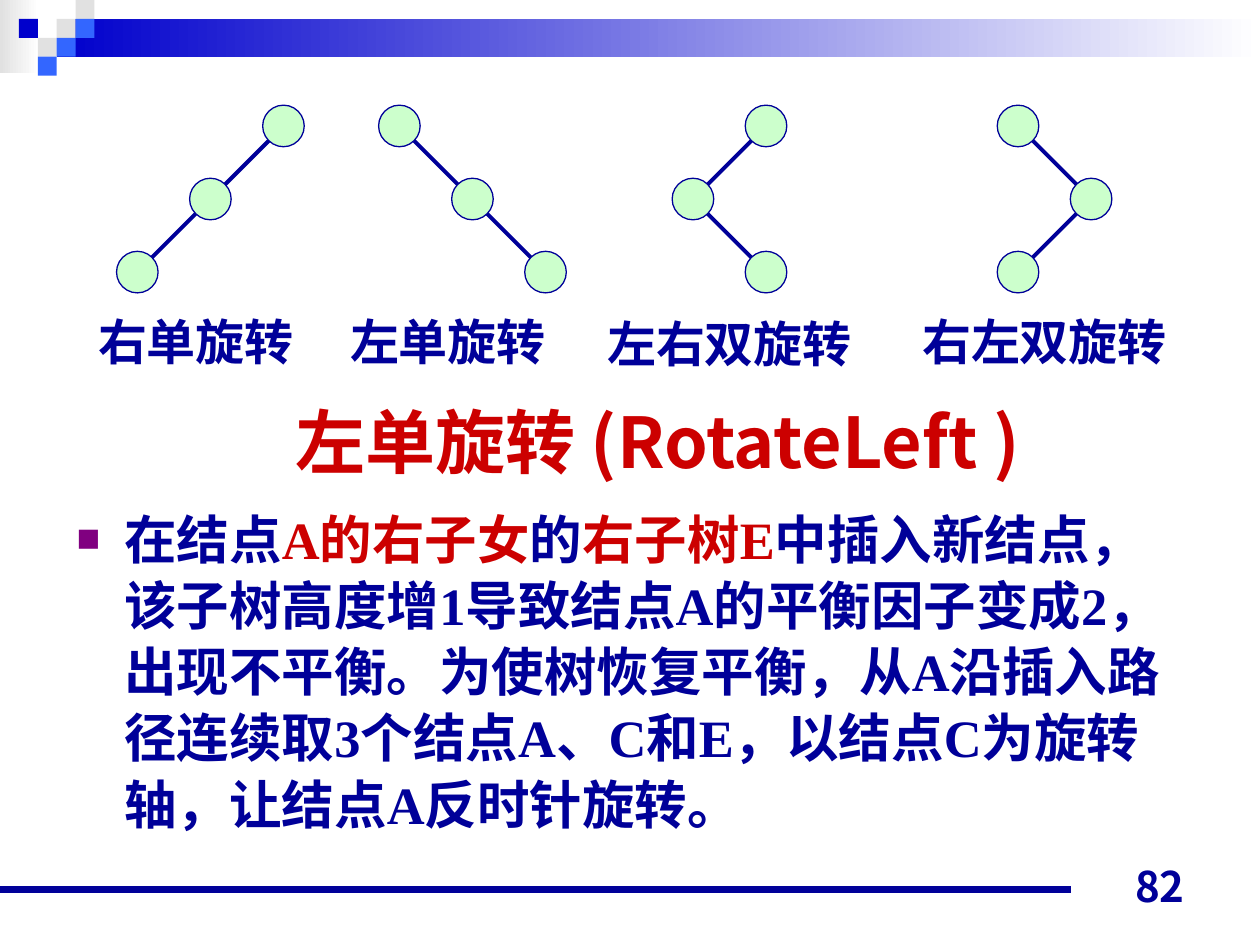
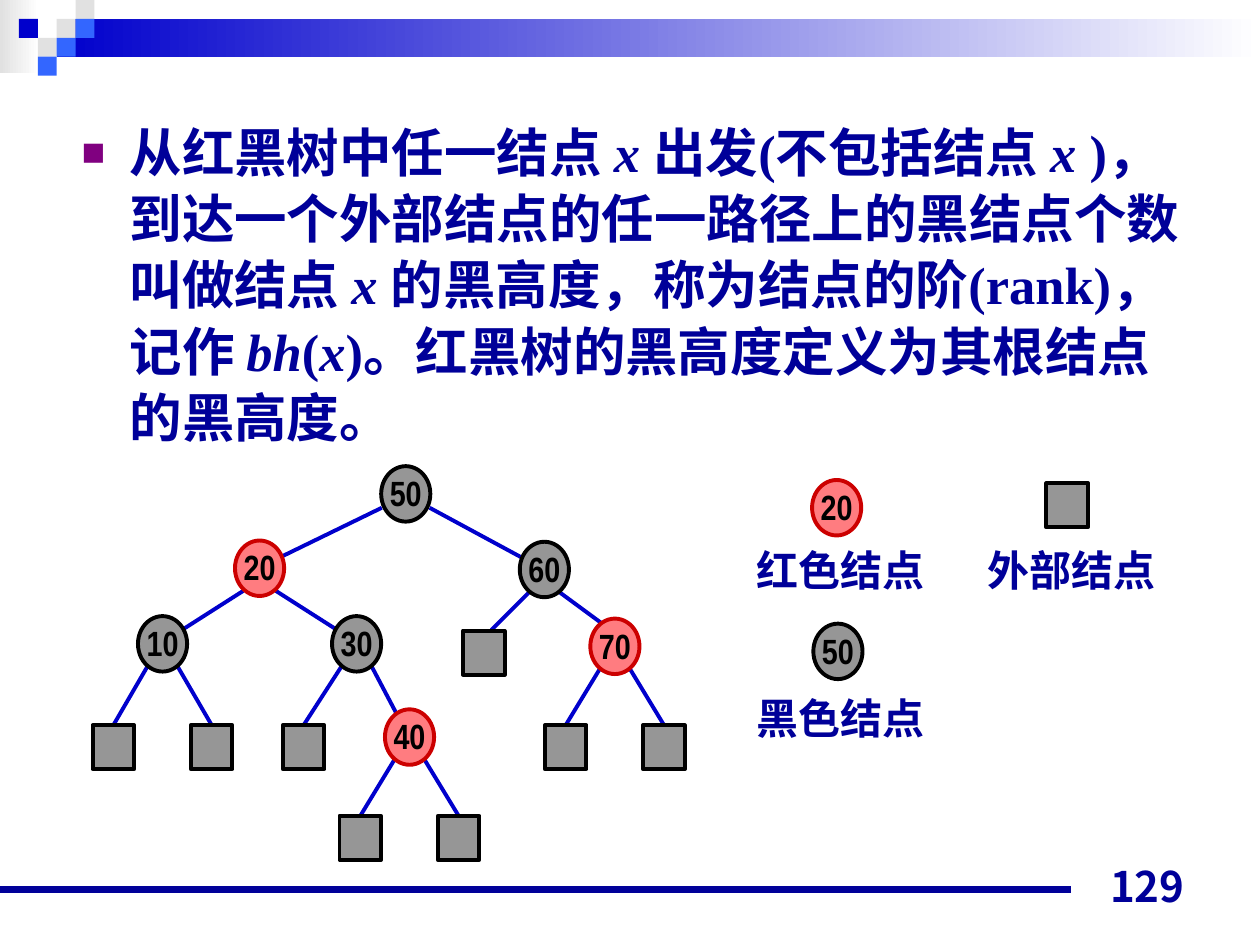
from dataclasses import dataclass

from lxml.etree import SubElement
from pptx import Presentation
from pptx.dml.color import RGBColor
from pptx.enum.shapes import MSO_CONNECTOR as Connector, MSO_SHAPE as Shape
from pptx.enum.text import MSO_ANCHOR as Anchor, PP_ALIGN as Align
from pptx.oxml.ns import qn
from pptx.util import Inches, Pt


@dataclass(frozen=True)
class Theme:
    navy: str = "000099"
    blue: str = "0000CC"
    sky: str = "3366FF"
    pale: str = "E1E1E1"
    white: str = "FFFFFF"
    red: str = "CC0000"
    pink: str = "FF7C80"
    grey: str = "969696"
    black: str = "000000"
    mint: str = "CCFFCC"
    purple: str = "800080"
    serif: str = "Times New Roman"
    narrow: str = "Arial Narrow"
    cjk: str = "Noto Sans CJK JP"
    title: int = 40
    body: int = 30
    caption: int = 28
    legend: int = 24
    number: int = 24
    key: int = 20


THEME = Theme()

# Checkerboard squares in the corner: column, row, colour
CHECKERS = [
    (3, 1, THEME.pale), (4, 0, THEME.pale), (4, 1, THEME.sky), (2, 2, THEME.pale),
    (1, 1, THEME.blue), (3, 2, THEME.sky), (2, 3, THEME.sky),
]

# Rotation cases: caption, caption left and top, root x, column of each node
ROTATIONS = [
    ("右单旋转", 0.68, 2.42, 2.25, (0, -1, -2)),
    ("左单旋转", 2.68, 2.42, 3.17, (0, 1, 2)),
    ("左右双旋转", 4.72, 2.44, 6.08, (0, -1, 0)),
    ("右左双旋转", 7.22, 2.42, 8.08, (0, 1, 0)),
]
ROTATION_TITLE = "左单旋转 (RotateLeft )"
ROTATION_TEXT = [
    ("在结点", {}),
    ("A的右子女", {"color": THEME.red}),
    ("的", {}),
    ("右子树E", {"color": THEME.red}),
    ("中插入新结点，该子树高度增1导致结点A的平衡因子变成2，出现不平衡。"
     "为使树恢复平衡，从A沿插入路径连续取3个结点A、C和E，"
     "以结点C为旋转轴，让结点A反时针旋转。", {}),
]

ITALIC = {"italic": True}
RANK_TEXT = [
    ("从红黑树中任一结点 ", {}),
    ("x ", ITALIC),
    ("出发(不包括结点 ", {}),
    ("x", ITALIC),
    (" )，到达一个外部结点的任一路径上的黑结点个数叫做结点 ", {}),
    ("x ", ITALIC),
    ("的黑高度，称为结点的阶(rank)，记作 ", {}),
    ("bh", ITALIC),
    ("(", {}),
    ("x", ITALIC),
    (")。红黑树的黑高度定义为其根结点的黑高度。", {}),
]

# Tree nodes: key -> (centre x, centre y, is red, left child, right child)
# A child is a key, or the offset of an external node from its parent.
LEFT_LEAF, RIGHT_LEAF = (-0.39, 0.8), (0.39, 0.8)
TREE = {
    50: (3.22, 3.92, False, 20, 60),
    20: (2.06, 4.51, True, 10, 30),
    60: (4.32, 4.52, False, (-0.48, 0.66), 70),
    10: (1.29, 5.11, False, (-0.39, 0.82), (0.39, 0.82)),
    30: (2.83, 5.11, False, (-0.42, 0.82), 40),
    70: (4.88, 5.13, True, LEFT_LEAF, RIGHT_LEAF),
    40: (3.25, 5.85, True, LEFT_LEAF, RIGHT_LEAF),
}

# Legend: caption, caption left and top, symbol centre, key (None is external), is red
LEGEND = [
    ("红色结点", 5.91, 4.27, 6.64, 4.03, 20, True),
    ("黑色结点", 5.91, 5.45, 6.65, 5.17, 50, False),
    ("外部结点", 7.74, 4.27, 8.47, 4.01, None, False),
]


def rgb(code):
    return RGBColor.from_string(code)


def add_block(page, kind, left, top, width, height, fill, line=None, weight=0.75):
    """Add a preset shape; a fill given as a pair is a left-to-right gradient."""
    block = page.shapes.add_shape(
        kind, Inches(left), Inches(top), Inches(width), Inches(height))
    block.shadow.inherit = False
    if isinstance(fill, tuple):
        block.fill.gradient()
        block.fill.gradient_angle = 0
        for stop, code in zip(block.fill.gradient_stops, fill):
            stop.color.rgb = rgb(code)
    else:
        block.fill.solid()
        block.fill.fore_color.rgb = rgb(fill)
    if line:
        block.line.color.rgb = rgb(line)
        block.line.width = Pt(weight)
    else:
        block.line.fill.background()
    return block


def add_centred(page, kind, x, y, width, height, *style):
    return add_block(page, kind, x - width / 2, y - height / 2, width, height, *style)


def add_line(page, start, end, color, weight):
    line = page.shapes.add_connector(
        Connector.STRAIGHT, *(Inches(value) for value in (*start, *end)))
    line.line.color.rgb = rgb(color)
    line.line.width = Pt(weight)
    SubElement(line._element.spPr, qn("a:effectLst"))
    return line


def style_para(para, size, color, latin):
    font = para.font
    font.name, font.size, font.bold = latin, Pt(size), True
    font.color.rgb = rgb(color)
    SubElement(font._element, qn("a:ea"), typeface=THEME.cjk)


def add_text(page, text, left, top, width, height, size, color=THEME.navy,
             latin=THEME.serif, align=Align.LEFT, anchor=Anchor.TOP, wrap=True):
    box = page.shapes.add_textbox(
        Inches(left), Inches(top), Inches(width), Inches(height))
    frame = box.text_frame
    frame.word_wrap = wrap
    frame.vertical_anchor = anchor
    para = frame.paragraphs[0]
    para.text = text
    para.alignment = align
    style_para(para, size, color, latin)


def add_bullet(para):
    """Give the paragraph a square bullet and keep punctuation inside the margin."""
    props = para._p.get_or_add_pPr()
    props.set("marL", str(Inches(0.38)))
    props.set("indent", str(-Inches(0.38)))
    props.set("hangingPunct", "0")
    SubElement(SubElement(props, qn("a:buClr")), qn("a:srgbClr"), val=THEME.purple)
    SubElement(props, qn("a:buSzPct"), val="75000")
    SubElement(props, qn("a:buFont"), typeface=THEME.serif)
    SubElement(props, qn("a:buChar"), char="■")


def add_body(page, spans, left, top, height):
    box = page.shapes.add_textbox(
        Inches(left), Inches(top), Inches(9), Inches(height))
    box.text_frame.word_wrap = True
    para = box.text_frame.paragraphs[0]
    para.line_spacing = 1.05
    add_bullet(para)
    style_para(para, THEME.body, THEME.navy, THEME.serif)
    for text, look in spans:
        span = para.add_run()
        span.text = text
        if "color" in look:
            span.font.color.rgb = rgb(look["color"])
        if "italic" in look:
            span.font.italic = look["italic"]


def add_page(deck, number):
    """Add a blank slide with the shared header, footer rule and page number."""
    page = deck.slides.add_slide(deck.slide_layouts[6])
    add_block(page, Shape.RECTANGLE, 0, 0, 0.31, 0.58, (THEME.pale, THEME.white))
    add_block(page, Shape.RECTANGLE, 0.45, 0.15, 9.55, 0.3, (THEME.blue, THEME.white))
    cell = 0.15
    for column, row, color in CHECKERS:
        add_block(page, Shape.RECTANGLE, column * cell, row * cell, cell, cell, color)
    add_line(page, (0, 7.06), (8.5, 7.06), THEME.navy, 4.5)
    add_text(page, str(number), 7.17, 6.78, 2.33, 0.5, THEME.number,
             latin=THEME.cjk, align=Align.RIGHT, anchor=Anchor.BOTTOM)
    return page


def add_rotation(page, caption, left, top, root_x, columns):
    step, size = 0.58, 0.33
    centres = [(root_x + column * step, 1 + row * step)
               for row, column in enumerate(columns)]
    is_straight = columns[2] == 2 * columns[1]
    corners = centres[::2] if is_straight else centres
    for start, end in zip(corners, corners[1:]):
        add_line(page, start, end, THEME.navy, 2.25)
    for x, y in centres:
        add_centred(page, Shape.OVAL, x, y, size, size, THEME.mint, THEME.navy)
    width = len(caption) * THEME.caption / 72 + 0.2
    add_text(page, caption, left, top, width, 0.57, THEME.caption, wrap=False)


def add_key_node(page, key, x, y, is_red):
    fill, line = (THEME.pink, THEME.red) if is_red else (THEME.grey, THEME.black)
    node = add_centred(page, Shape.OVAL, x, y, 0.39, 0.44, fill, line, 2.25)
    frame = node.text_frame
    frame.word_wrap = False
    frame.vertical_anchor = Anchor.MIDDLE
    frame.margin_left = frame.margin_right = frame.margin_top = 0
    frame.margin_bottom = Inches(0.02)
    para = frame.paragraphs[0]
    para.text = str(key)
    para.alignment = Align.CENTER
    style_para(para, THEME.key, THEME.black, THEME.narrow)


def add_external_node(page, x, y):
    return add_centred(page, Shape.RECTANGLE, x, y, 0.33, 0.35,
                       THEME.grey, THEME.black, 2.25)


def add_branch(page, x, y, child):
    """Draw the edge from the node at x, y to a child, and the child if external."""
    external = isinstance(child, tuple)
    child_x, child_y = (x + child[0], y + child[1]) if external else TREE[child][:2]
    reach = abs(child_x - x)
    side = 1 if child_x > x else -1
    if reach > 1:
        leave, arrive = (0.19, 0.11), (0.17, 0.09)
    elif reach > 0.6:
        leave, arrive = (0.13, 0.18), (0.17, 0.12)
    else:
        leave, arrive = (0.12, 0.18), (0.06, 0.18) if external else (0.1, 0.18)
    start = (x + side * leave[0], y + leave[1])
    end = (child_x - side * arrive[0], child_y - arrive[1])
    edge = add_line(page, start, end, THEME.blue, 2.25)
    if external:
        square = add_external_node(page, child_x, child_y)
        if reach < 0.45:
            edge.end_connect(square, 0)


def build_rotation_page(deck):
    page = add_page(deck, 82)
    for rotation in ROTATIONS:
        add_rotation(page, *rotation)
    add_text(page, ROTATION_TITLE, 2.09, 3.16, 6.26, 0.67, THEME.title, THEME.red,
             THEME.cjk, Align.CENTER, Anchor.MIDDLE)
    add_body(page, ROTATION_TEXT, 0.51, 3.95, 2.91)


def build_rank_page(deck):
    page = add_page(deck, 129)
    add_body(page, RANK_TEXT, 0.55, 0.88, 2.76)
    for x, y, _, *children in TREE.values():
        for child in children:
            add_branch(page, x, y, child)
    for key, (x, y, is_red, *_) in TREE.items():
        add_key_node(page, key, x, y, is_red)
    for caption, left, top, x, y, key, is_red in LEGEND:
        if key is None:
            add_external_node(page, x, y)
        else:
            add_key_node(page, key, x, y, is_red)
        add_text(page, caption, left, top, 1.67, 0.55, THEME.legend)


def main():
    deck = Presentation()
    deck.slide_width, deck.slide_height = Inches(10), Inches(7.5)
    build_rotation_page(deck)
    build_rank_page(deck)
    deck.save("out.pptx")


if __name__ == "__main__":
    main()
